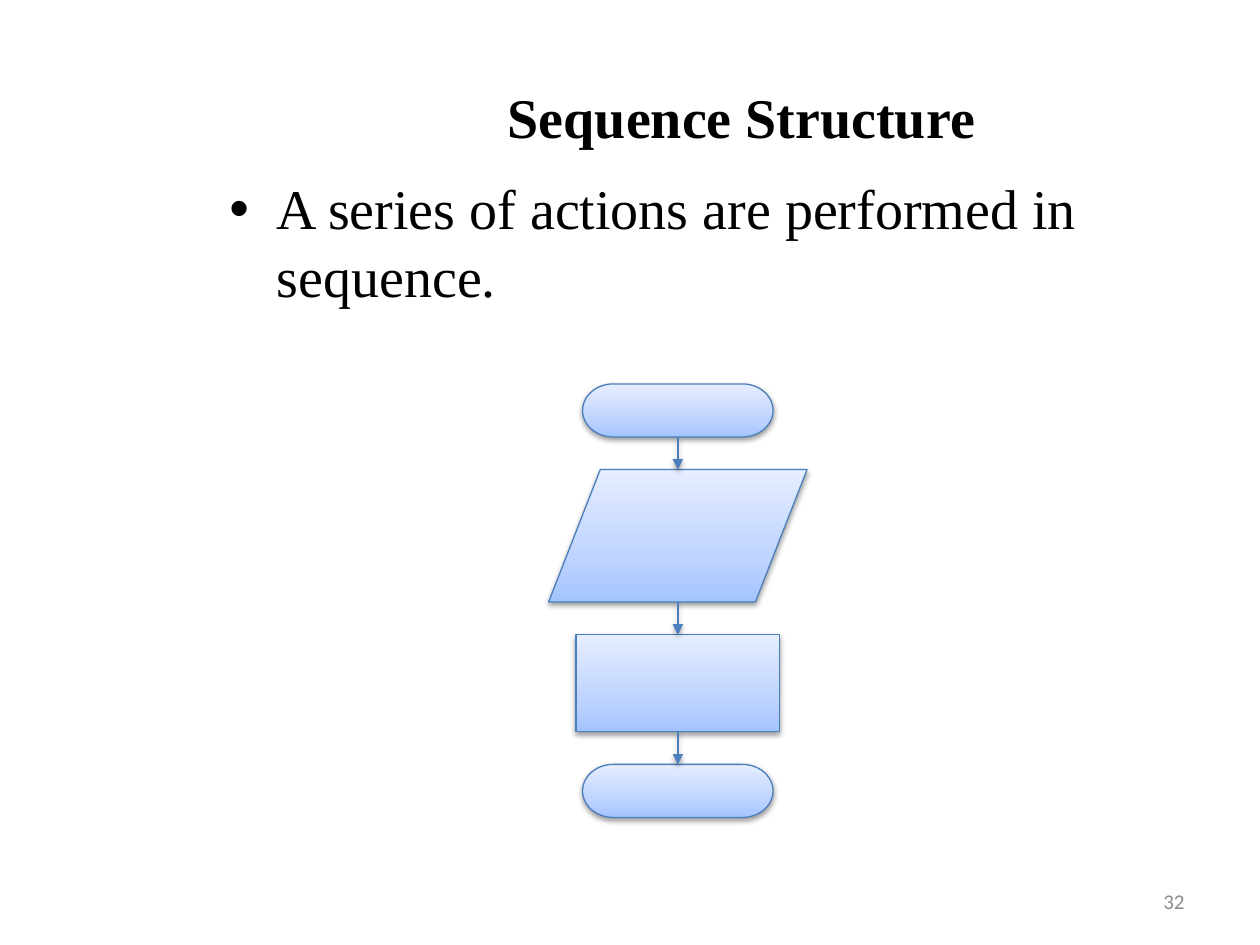
from dataclasses import dataclass
from itertools import pairwise

from pptx import Presentation
from pptx import util as u
from pptx.dml.color import RGBColor
from pptx.enum import shapes, text
from pptx.oxml import parse_xml
from pptx.oxml.ns import nsdecls, qn

Cm, Pt = u.Cm, u.Pt


@dataclass(frozen=True)
class Theme:
    """Colours, fonts and type sizes of the slide."""
    ink: str = "000000"
    muted: str = "8C8C8C"
    outline: str = "4B7EBC"
    gradient: tuple = ((0, "A4C4FF"), (35, "BFD4FF"), (100, "E6EEFF"))
    serif: str = "Times New Roman"
    sans: str = "Calibri"
    heading_size: int = 32
    number_size: int = 12
    line_width: float = 0.75


THEME = Theme()
TOP, BOTTOM = 0, 2
TERMINATOR = shapes.MSO_SHAPE.FLOWCHART_TERMINATOR
INPUT_OUTPUT = shapes.MSO_SHAPE.FLOWCHART_DATA
PROCESS = shapes.MSO_SHAPE.RECTANGLE
STEPS = (
    (TERMINATOR, 3.84, 1.07),
    (INPUT_OUTPUT, 5.21, 2.67),
    (PROCESS, 4.11, 1.96),
    (TERMINATOR, 3.84, 1.07),
)


def apply(target, values):
    """Set each attribute of target from a dict."""
    for name, value in values.items():
        setattr(target, name, value)


def place(part, box):
    """Move a part to a box given in centimetres."""
    apply(part, dict(zip(("left", "top", "width", "height"), map(Cm, box))))


def write(part, wording, color, **font):
    """Write one formatted paragraph and return it."""
    paragraph = part.text_frame.paragraphs[0]
    run = paragraph.add_run()
    run.text = wording
    apply(run.font, font)
    run.font.color.rgb = RGBColor.from_string(color)
    return paragraph


def outline_and_shadow(part):
    """Give a flowchart part its line and soft shadow below."""
    part.line.color.rgb = RGBColor.from_string(THEME.outline)
    part.line.width = Pt(THEME.line_width)
    part._element.spPr.append(parse_xml(
        f'<a:effectLst {nsdecls("a")}><a:outerShdw blurRad="40000" dist="20000" '
        'dir="5400000" rotWithShape="0"><a:srgbClr val="000000">'
        '<a:alpha val="38000"/></a:srgbClr></a:outerShdw></a:effectLst>'))


def add_step(flow, kind, box):
    """Add one flowchart symbol with the theme gradient."""
    step = flow.shapes.add_shape(kind, *map(Cm, box))
    step.fill.gradient()
    step.fill.gradient_angle = 90
    stops = step._element.spPr.find(f'{qn("a:gradFill")}/{qn("a:gsLst")}')
    stops.clear()
    for position, color in THEME.gradient:
        stops.append(parse_xml(
            f'<a:gs {nsdecls("a")} pos="{position * 1000}">'
            f'<a:srgbClr val="{color}"/></a:gs>'))
    outline_and_shadow(step)
    return step


def add_arrow(flow, upper, lower, center):
    """Point an arrow from the upper step to the lower one."""
    arrow = flow.shapes.add_connector(
        shapes.MSO_CONNECTOR.STRAIGHT, center, upper.top + upper.height,
        center, lower.top)
    if upper.auto_shape_type != INPUT_OUTPUT:
        arrow.begin_connect(upper, BOTTOM)
    if lower.auto_shape_type != INPUT_OUTPUT:
        arrow.end_connect(lower, TOP)
    outline_and_shadow(arrow)
    arrow._element.spPr.find(qn("a:ln")).append(
        parse_xml(f'<a:tailEnd {nsdecls("a")} type="triangle"/>'))


def add_flowchart(slide, box):
    """Stack the steps at equal gaps down the middle of the box."""
    left, top, width, height = box
    center = left + width / 2
    gap = (height - sum(step[2] for step in STEPS)) / (len(STEPS) - 1)
    flow = slide.shapes.add_group_shape()
    steps = []
    for kind, step_width, step_height in STEPS:
        steps.append(add_step(
            flow, kind, (center - step_width / 2, top, step_width, step_height)))
        top += step_height + gap
    for upper, lower in pairwise(steps):
        add_arrow(flow, upper, lower, Cm(center))


def fill_heading(slide, box):
    """Place and write the slide title."""
    heading = slide.shapes.title
    place(heading, box)
    heading.text_frame.vertical_anchor = text.MSO_ANCHOR.MIDDLE
    write(heading, "Sequence Structure", THEME.ink, name=THEME.serif,
          size=Pt(THEME.heading_size), bold=True).alignment = text.PP_ALIGN.CENTER


def fill_definition(slide, box):
    """Place and write the bulleted definition."""
    definition = slide.placeholders[1]
    place(definition, box)
    write(definition, "A series of actions are performed in sequence.",
          THEME.ink, name=THEME.serif, size=Pt(THEME.heading_size))


def add_page_number(slide, box):
    """Add the page number at the lower right."""
    page_number = slide.shapes.add_textbox(*map(Cm, box))
    apply(page_number.text_frame,
          {"word_wrap": True, "vertical_anchor": text.MSO_ANCHOR.MIDDLE})
    write(page_number, "32", THEME.muted, name=THEME.sans,
          size=Pt(THEME.number_size)).alignment = text.PP_ALIGN.RIGHT


def main():
    """Build and save the slide."""
    deck = Presentation()
    apply(deck, {"slide_width": Cm(25.4), "slide_height": Cm(19.05)})
    slide = deck.slides.add_slide(deck.slide_layouts[1])
    add_page_number(slide, (18.21, 17.65, 5.92, 1.02))
    fill_heading(slide, (5.77, 0.76, 18.36, 3.18))
    fill_definition(slide, (4.37, 3.38, 20.45, 14.88))
    add_flowchart(slide, (11.06, 7.74, 5.21, 8.74))
    deck.save("out.pptx")


if __name__ == "__main__":
    main()
